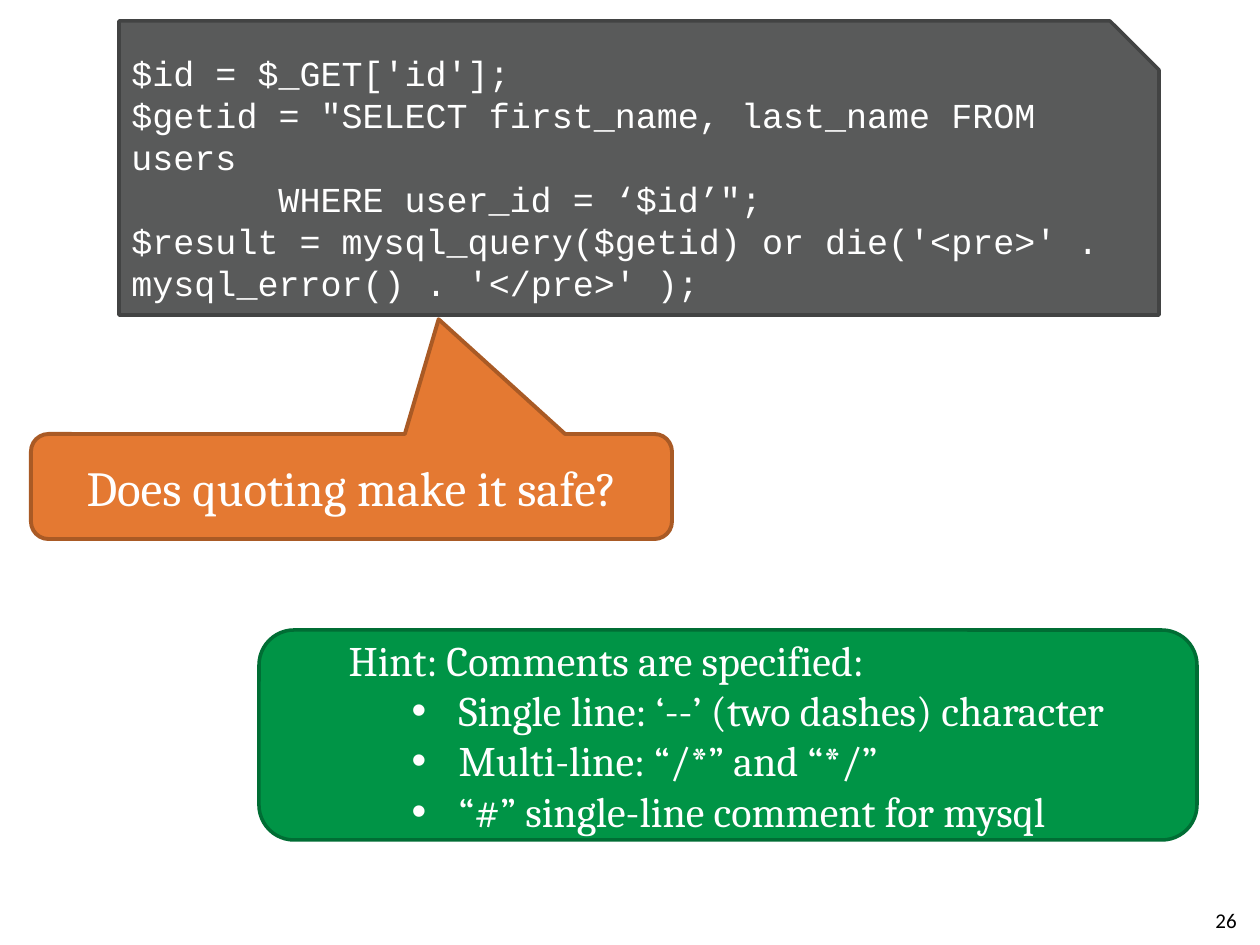
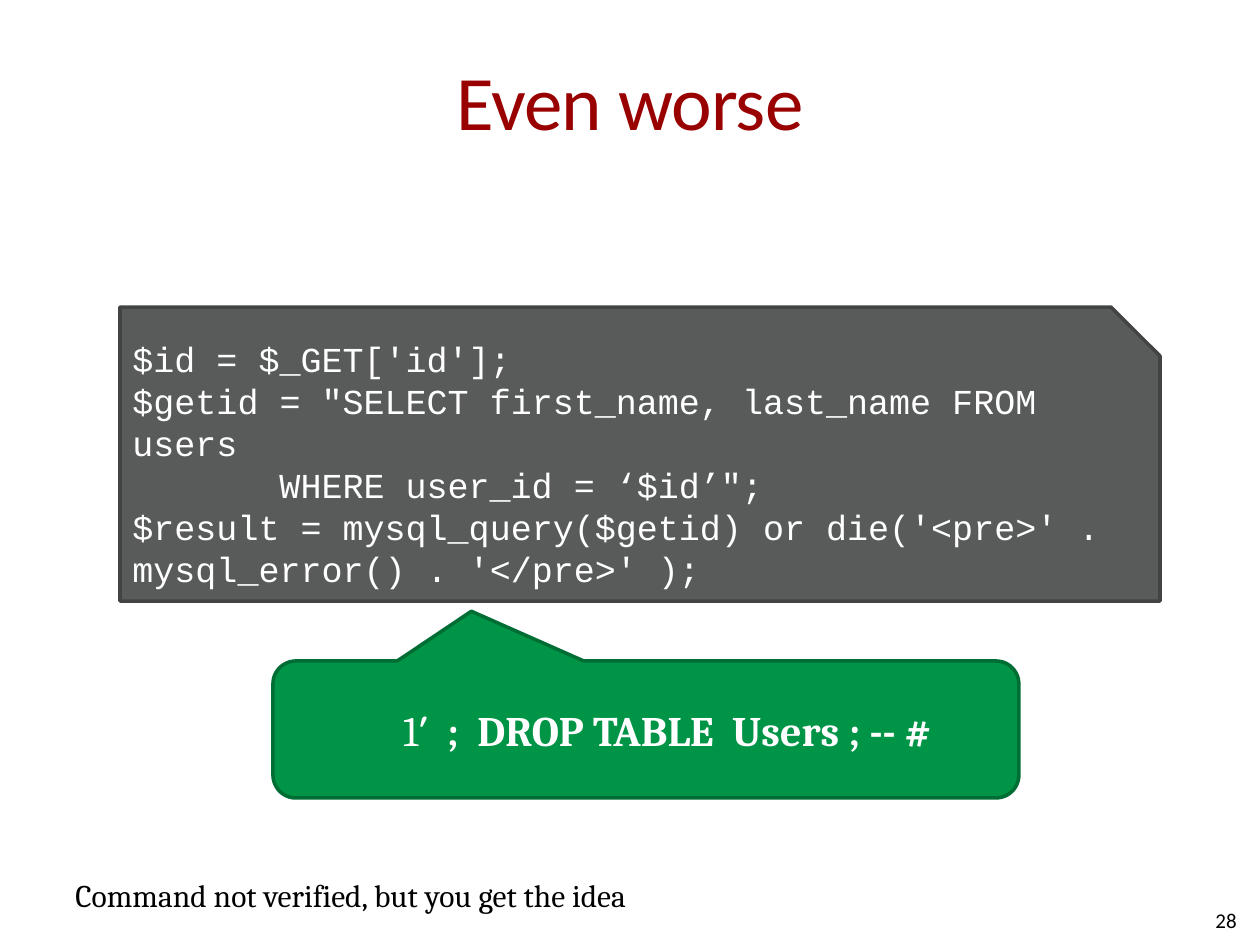
"""Build two slides on SQL injection through quoted input."""
from dataclasses import dataclass

from lxml import etree
from pptx import Presentation
from pptx.dml.color import RGBColor
from pptx.enum.shapes import MSO_SHAPE
from pptx.enum.text import MSO_ANCHOR, PP_ALIGN
from pptx.oxml.ns import qn
from pptx.util import Emu, Pt

SNIP = MSO_SHAPE.SNIP_1_RECTANGLE
CALLOUT = MSO_SHAPE.ROUNDED_RECTANGULAR_CALLOUT
ROUNDED = MSO_SHAPE.ROUNDED_RECTANGLE
TOP, MIDDLE = MSO_ANCHOR.TOP, MSO_ANCHOR.MIDDLE
LEFT, CENTER, RIGHT = PP_ALIGN.LEFT, PP_ALIGN.CENTER, PP_ALIGN.RIGHT
TITLE_ONLY, BLANK = 5, 6


@dataclass(frozen=True)
class Theme:
    """Colours, fonts and type sizes shared by the slides."""
    white: str = "FFFFFF"
    black: str = "000000"
    title: str = "990000"
    grey: tuple = ("595A5A", "424343")
    orange: tuple = ("E47932", "A95A25")
    green: tuple = ("009446", "006D34")
    head_font: str = "Calibri"
    body_font: str = "Cambria"
    code_font: str = "Courier New"
    title_size: int = 44
    question_size: int = 28
    hint_size: int = 24
    code_size: int = 20
    caption_size: int = 18
    number_size: int = 12


T = Theme()

CODE = [
    "$id = $_GET['id'];",
    "$getid = \"SELECT first_name, last_name FROM users \n"
    "\t    WHERE user_id = ‘$id’\";",
    "$result = mysql_query($getid) or die('<pre>' . mysql_error() . '</pre>' );",
]
HINTS = [
    "Single line: ‘--’ (two dashes) character",
    "Multi-line: “/*” and “*/”",
    "“#” single-line comment for mysql",
]


def px(n):
    """Turn pixels into EMU at 126 pixels to the inch."""
    return Emu(round(n * 914400 / 126))


def rgb(code):
    """Return the colour for a hex code."""
    return RGBColor.from_string(code)


def style_run(r, font, size, color, bold=False):
    """Set the type of one run."""
    r.font.name, r.font.size, r.font.bold = font, Pt(size), bold
    r.font.color.rgb = rgb(color)


def write(p, text, font=T.body_font, size=T.hint_size, color=T.white,
          align=LEFT, margin=0, hang=0, bullet=None):
    """Fill a paragraph with text and format it."""
    pPr = p._p.get_or_add_pPr()
    pPr.set("marL", str(px(margin)))
    pPr.set("indent", str(px(-hang)))
    if bullet:
        etree.SubElement(pPr, qn("a:buFont")).set("typeface", "Arial")
        etree.SubElement(pPr, qn("a:buChar")).set("char", bullet)
    p.alignment = align
    p.text = text
    for r in p.runs:
        style_run(r, font, size, color)
    return p


def add_panel(slide, kind, box, colors, line=2, adj=(), anchor=MIDDLE):
    """Add a filled, outlined shape and return its text frame."""
    sp = slide.shapes.add_shape(kind, *map(px, box))
    sp.shadow.inherit = False
    for i, value in enumerate(adj):
        sp.adjustments[i] = value
    fill, edge = colors
    sp.fill.solid()
    sp.fill.fore_color.rgb = rgb(fill)
    sp.line.color.rgb = rgb(edge)
    sp.line.width = Pt(line)
    tf = sp.text_frame
    tf.word_wrap = True
    tf.vertical_anchor = anchor
    return tf


def add_label(slide, box, text, anchor=TOP, **fmt):
    """Add a plain line of text."""
    tf = slide.shapes.add_textbox(*map(px, box)).text_frame
    tf.word_wrap = True
    tf.vertical_anchor = anchor
    write(tf.paragraphs[0], text, color=T.black, **fmt)


def add_number(slide, number):
    """Add the page number at the bottom right."""
    add_label(slide, (955, 895, 294, 50), number, anchor=MIDDLE, align=RIGHT,
              font=T.head_font, size=T.number_size)


def add_title(slide, text):
    """Place and format the title placeholder."""
    sp = slide.shapes.title
    sp.left, sp.top, sp.width, sp.height = map(px, (63, 21, 1134, 158))
    tf = sp.text_frame
    tf.margin_left = tf.margin_right = 0
    tf.vertical_anchor = MIDDLE
    p = write(tf.paragraphs[0], text, font=T.head_font, size=T.title_size,
              color=T.title, align=CENTER)
    p.runs[0]._r.get_or_add_rPr().set("spc", "-50")


def add_code(slide, left, top):
    """Add the code card with its snipped corner."""
    tf = add_panel(slide, SNIP, (left, top, 1040, 294), T.grey, anchor=TOP)
    for i, text in enumerate(CODE):
        p = tf.add_paragraph() if i else tf.paragraphs[0]
        write(p, text, font=T.code_font, size=T.code_size)


def add_hint(slide, box):
    """Add the hint with its bulleted list."""
    tf = add_panel(slide, ROUNDED, box, T.green)
    indent = 67
    write(tf.paragraphs[0], "Hint: Comments are specified:", margin=indent)
    for text in HINTS:
        write(tf.add_paragraph(), text, margin=indent + 110, hang=47, bullet="•")


def build_question(prs):
    """Build the slide that asks whether quoting is safe."""
    slide = prs.slides.add_slide(prs.slide_layouts[BLANK])
    add_number(slide, "26")
    add_code(slide, 119, 21)
    tf = add_panel(slide, CALLOUT, (31, 434, 641, 105), T.orange, line=2.25,
                   adj=(0.136, -1.593, 0.167))
    write(tf.paragraphs[0], "Does quoting make it safe?",
          size=T.question_size, align=CENTER)
    add_hint(slide, (259, 630, 938, 210))


def build_attack(prs):
    """Build the slide with the destructive input."""
    slide = prs.slides.add_slide(prs.slide_layouts[TITLE_ONLY])
    add_title(slide, "Even worse")
    add_number(slide, "28")
    add_code(slide, 120, 307)
    tf = add_panel(slide, CALLOUT, (273, 661, 746, 137), T.green,
                   adj=(-0.234, -0.863, 0.167))
    p = write(tf.paragraphs[0], "1", margin=111)
    r = p.add_run()
    r.text = "′  ;  DROP TABLE  Users ; -- #"
    style_run(r, T.body_font, T.hint_size, T.white, bold=True)
    add_label(slide, (63, 870, 610, 50),
              "Command not verified, but you get the idea", size=T.caption_size)


def main():
    """Build and save the deck."""
    prs = Presentation()
    prs.slide_width, prs.slide_height = px(1260), px(945)
    build_question(prs)
    build_attack(prs)
    prs.save("out.pptx")


if __name__ == "__main__":
    main()
